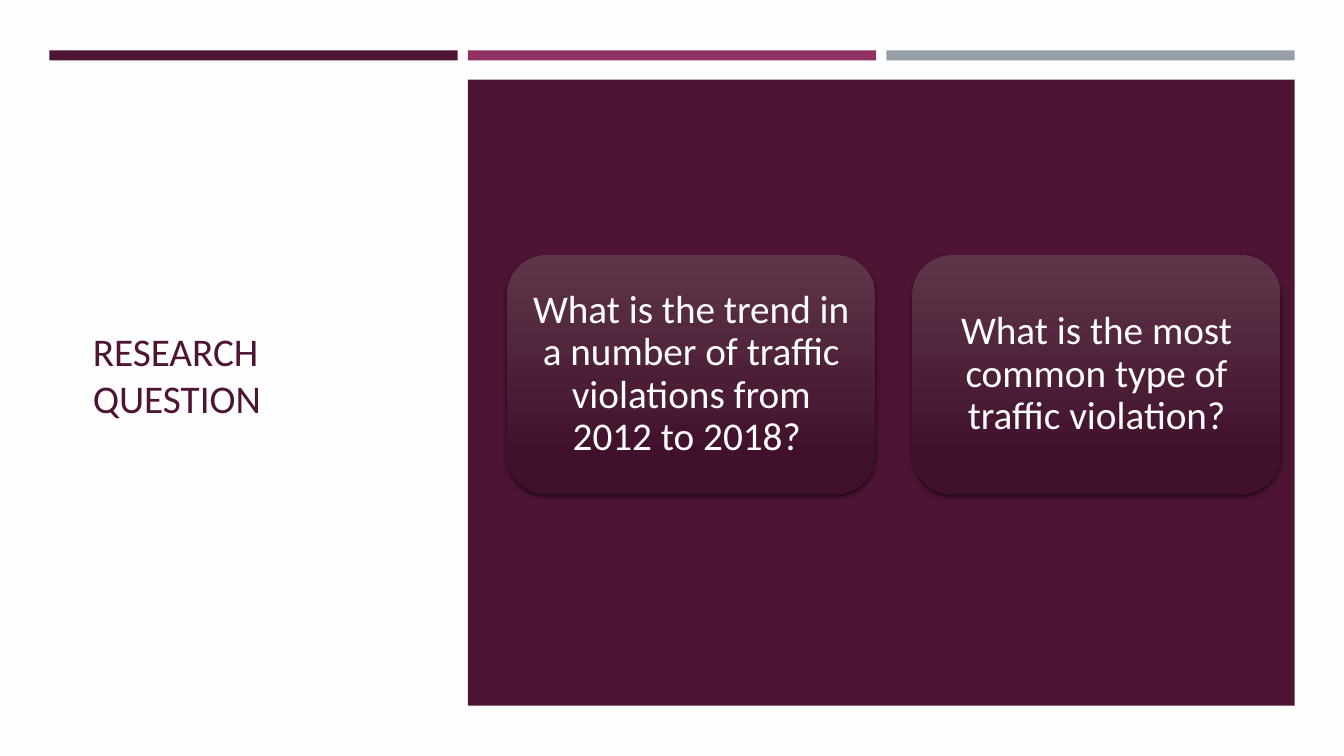
"""Build the research question slide: a title beside a panel with two question cards."""
from lxml.etree import SubElement
from pptx import Presentation
from pptx.dml.color import RGBColor
from pptx.enum.shapes import MSO_SHAPE
from pptx.enum.text import MSO_ANCHOR, MSO_AUTO_SIZE, PP_ALIGN
from pptx.oxml.ns import qn
from pptx.util import Inches, Pt

THEME = {
    "font": "Calibri", "size": Pt(28),
    "paper": "FFFEFF", "plum": "4D1434", "berry": "903163", "grey": "969FA7",
    "card_top": "5F3649", "card_bottom": "41112C", "card_text": "FFFFFF", "shadow": "000000",
}
LEFT, COL, GAP = 0.49, 4.05, 0.1
PITCH = COL + GAP
CARD_LEFT, CARD_PITCH = 5.03, 4.02
QUESTIONS = [
    "What is the trend in a number of traffic violations from 2012 to 2018? ",
    "What is the most common type of traffic violation?",
]


def add_block(s, kind, x, y, w, h, color):
    sp = s.shapes.add_shape(kind, Inches(x), Inches(y), Inches(w), Inches(h))
    sp.shadow.inherit = False
    sp.line.fill.background()
    sp.fill.solid()
    sp.fill.fore_color.rgb = RGBColor.from_string(THEME[color])
    return sp


def write(sp, text, color, frame, para):
    tf = sp.text_frame
    for name, value in frame.items():
        setattr(tf, name, value)
    p = tf.paragraphs[0]
    for name, value in para.items():
        setattr(p, name, value)
    r = p.add_run()
    r.text = text
    for name, value in {"name": THEME["font"], "size": THEME["size"]}.items():
        setattr(r.font, name, value)
    r.font.color.rgb = RGBColor.from_string(THEME[color])


prs = Presentation()
prs.slide_width, prs.slide_height = Inches(13.33), Inches(7.5)
s = prs.slides.add_slide(prs.slide_layouts.get_by_name("Title Only"))
s.background.fill.solid()
s.background.fill.fore_color.rgb = RGBColor.from_string(THEME["paper"])

frame = {"word_wrap": True, "vertical_anchor": MSO_ANCHOR.MIDDLE, "auto_size": MSO_AUTO_SIZE.NONE}
title = s.shapes.title
for name, value in {"left": 0.82, "top": 1.14, "width": 3.34, "height": 5.15}.items():
    setattr(title, name, Inches(value))
write(title, "RESEARCH QUESTION", "plum", frame, {"alignment": PP_ALIGN.LEFT})

for i, color in enumerate(["plum", "berry", "grey"]):
    add_block(s, MSO_SHAPE.RECTANGLE, LEFT + i * PITCH, 0.5, COL, 0.1, color)
add_block(s, MSO_SHAPE.RECTANGLE, LEFT + PITCH, 0.79, 2 * COL + GAP, 6.21, "plum")

margins = {f"margin_{side}": Inches(0.12) for side in ("left", "right", "top", "bottom")}
for i, question in enumerate(QUESTIONS):
    card = add_block(s, MSO_SHAPE.ROUNDED_RECTANGLE,
                     CARD_LEFT + i * CARD_PITCH, 2.53, 3.65, 2.37, "card_top")
    card.fill.gradient()
    card.fill.gradient_angle = 270
    for stop, color, position in zip(card.fill.gradient_stops, ["card_top", "card_bottom"], [0, 0.84]):
        stop.color.rgb = RGBColor.from_string(THEME[color])
        stop.position = position
    effects = card._element.spPr.find(qn("a:effectLst"))
    shadow = SubElement(effects, qn("a:outerShdw"), blurRad=str(Pt(3)), dist=str(Pt(2)),
                        dir="5400000", algn="ctr", rotWithShape="0")
    tint = SubElement(shadow, qn("a:srgbClr"), val=THEME["shadow"])
    SubElement(tint, qn("a:alpha"), val="55000")
    write(card, question, "card_text", frame | margins,
          {"alignment": PP_ALIGN.CENTER, "line_spacing": 0.9})

prs.save("out.pptx")
